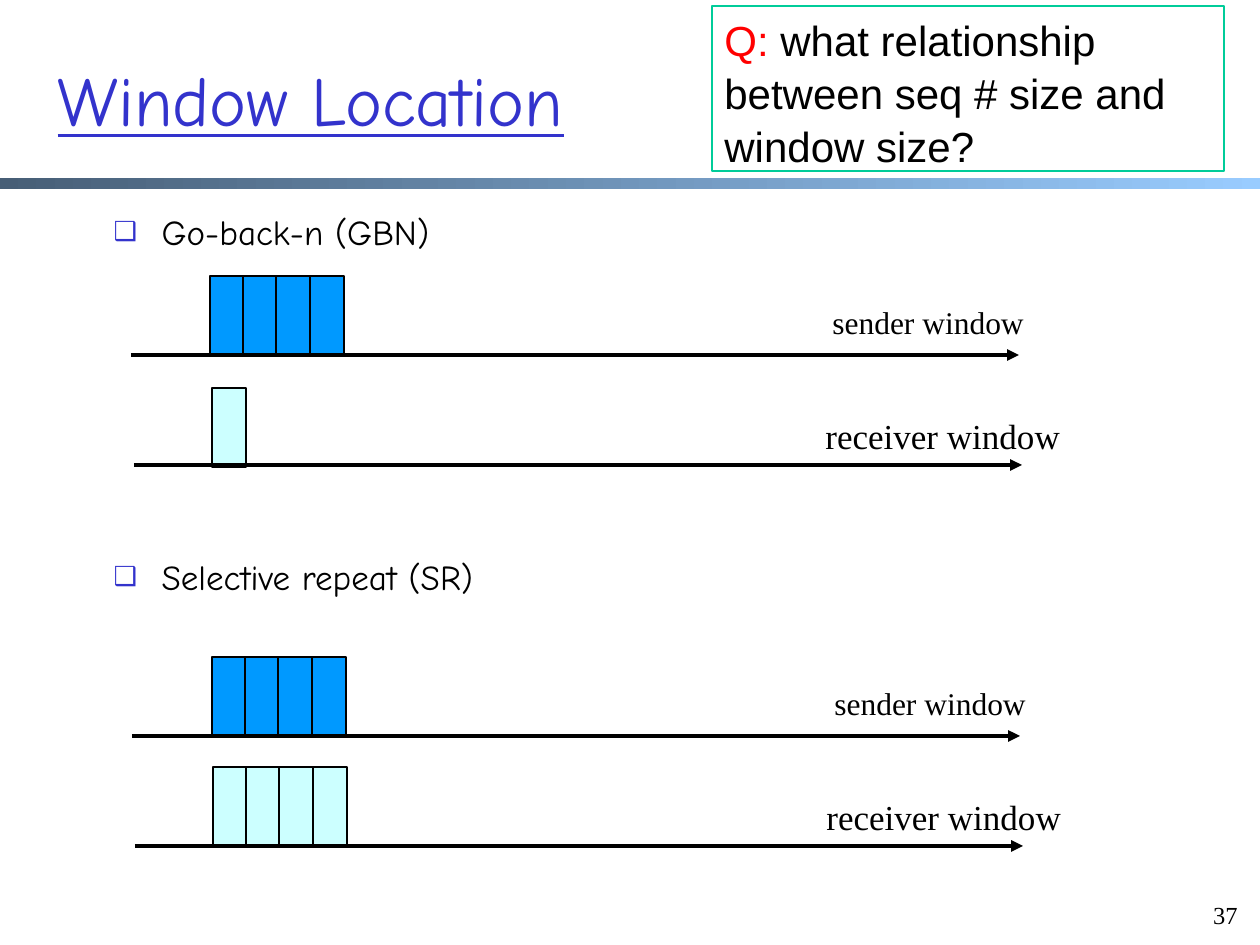
import pptx
import pptx.util
import pptx.dml.color
import pptx.enum.shapes
import pptx.enum.text
import pptx.oxml
import pptx.oxml.ns
from lxml import etree

PX = 914400 // 126
COLORS = {
    "black": "000000", "title": "3333CC", "sender": "0099FF", "receiver": "CCFFFF",
    "question": "FF0000", "frame": "00CC99", "rule_dark": "475E76", "rule_light": "99CCFF",
}
SERIF = "Times New Roman"
COMIC = "Comic Neue"
ALIGN = pptx.enum.text.PP_ALIGN
ANCHOR = pptx.enum.text.MSO_ANCHOR

BAR_ROWS = [
    (210, 276, 4, "sender"),
    (212, 388, 1, "receiver"),
    (212, 657, 4, "sender"),
    (213, 767, 4, "receiver"),
]
AXES = [(131, 355), (134, 465), (132, 736), (135, 846)]
LABELS = [
    ("sender window", 820, 297, 217, 50, 18),
    ("receiver window", 813, 408, 260, 54, 20),
    ("sender window", 822, 678, 217, 50, 18),
    ("receiver window", 814, 789, 260, 54, 20),
]


def px(n):
    return pptx.util.Emu(n * PX)


def rgb(name):
    return pptx.dml.color.RGBColor.from_string(COLORS[name])


def place(s, x, y, w, h):
    s.left, s.top, s.width, s.height = px(x), px(y), px(w), px(h)


def style(r, size, font, color="black"):
    r.font.size = pptx.util.Pt(size)
    r.font.name = font
    r.font.color.rgb = rgb(color)


def sub(parent, tag, **attrs):
    return etree.SubElement(parent, pptx.oxml.ns.qn(tag), attrs)


def add_rect(slide, x, y, w, h):
    s = slide.shapes.add_shape(
        pptx.enum.shapes.MSO_SHAPE.RECTANGLE, px(x), px(y), px(w), px(h))
    s.shadow.inherit = False
    return s


def add_rule(slide):
    s = add_rect(slide, 0, 178, 1260, 11)
    s.fill.gradient()
    s.fill.gradient_angle = 0
    for stop, color in zip(s.fill.gradient_stops, ("rule_dark", "rule_light")):
        stop.color.rgb = rgb(color)
    s.line.fill.background()


def add_bars(slide, x, y, count, color):
    for i in range(count):
        s = add_rect(slide, x + i * 100 // 3, y, 34, 79)
        s.fill.solid()
        s.fill.fore_color.rgb = rgb(color)
        s.line.color.rgb = rgb("black")
        s.line.width = pptx.util.Pt(0.75)


def add_axis(slide, x, y):
    s = slide.shapes.add_connector(
        pptx.enum.shapes.MSO_CONNECTOR.STRAIGHT, px(x), px(y), px(x + 888), px(y))
    s.line.color.rgb = rgb("black")
    s.line.width = pptx.util.Pt(2.25)
    sub(s.line._get_or_add_ln(), "a:tailEnd", type="triangle")
    sub(s._element.spPr, "a:effectLst")


def add_label(slide, text, x, y, w, h, size):
    s = slide.shapes.add_textbox(px(x), px(y), px(w), px(h))
    tf = s.text_frame
    tf.text = text
    tf.word_wrap = False
    style(tf.paragraphs[0].runs[0], size, SERIF)
    return s


def set_title(slide):
    s = slide.shapes.title
    place(s, 45, 20, 1105, 158)
    tf = s.text_frame
    tf.text = "Window Location"
    tf.vertical_anchor = ANCHOR.MIDDLE
    p = tf.paragraphs[0]
    p.alignment = ALIGN.LEFT
    style(p.runs[0], 40, COMIC, "title")
    p.runs[0].font.underline = True


def set_list(slide):
    s = slide.placeholders[1]
    place(s, 38, 204, 1113, 412)
    tf = s.text_frame
    tf.text = "Go-back-n (GBN)\nSelective repeat (SR)"
    for p, space in zip(tf.paragraphs, (0, 173)):
        p.space_before = pptx.util.Pt(space)
        pPr = p._p.get_or_add_pPr()
        pPr.set("marL", str(px(111)))
        pPr.set("indent", str(px(-48)))
        sub(sub(pPr, "a:buClr"), "a:srgbClr", val=COLORS["title"])
        sub(pPr, "a:buSzPct", val="75000")
        sub(pPr, "a:buChar", char="❑")
        style(p.runs[0], 20, COMIC)


def add_question(slide):
    s = slide.shapes.add_textbox(px(712), px(6), px(512), px(165))
    s.line.color.rgb = rgb("frame")
    s.line.width = pptx.util.Pt(0.75)
    tf = s.text_frame
    tf.word_wrap = True
    p = tf.paragraphs[0]
    p.line_spacing = 1.05
    for text, color in (
            ("Q:", "question"),
            (" what relationship between seq # size and window size?", "black")):
        r = p.add_run()
        r.text = text
        style(r, 24, "Arial", color)


def add_page_number(slide):
    s = add_label(slide, "37", 1192, 888, 58, 48, 14)
    s.text_frame.word_wrap = True
    s.text_frame.vertical_anchor = ANCHOR.BOTTOM
    s.text_frame.paragraphs[0].alignment = ALIGN.RIGHT


def main():
    prs = pptx.Presentation()
    prs.slide_width, prs.slide_height = px(1260), px(945)
    slide = prs.slides.add_slide(prs.slide_layouts[1])
    add_rule(slide)
    set_title(slide)
    set_list(slide)
    for row in BAR_ROWS:
        add_bars(slide, *row)
    for axis in AXES:
        add_axis(slide, *axis)
    for label in LABELS:
        add_label(slide, *label)
    add_question(slide)
    add_page_number(slide)
    prs.save("out.pptx")


if __name__ == "__main__":
    main()
